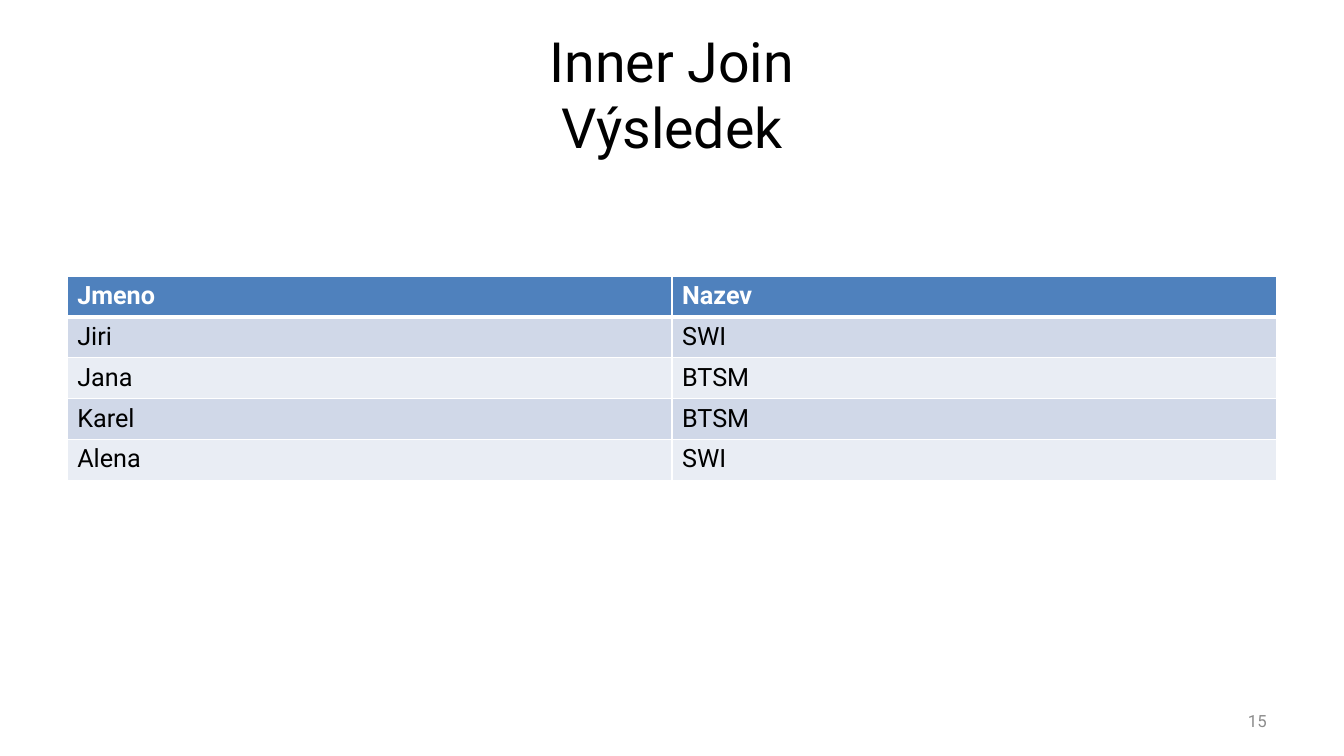
from lxml import etree
from pptx import Presentation
from pptx import util as u
from pptx.dml import color
from pptx.enum import text
from pptx.oxml import ns


def rgb(value):
    return color.RGBColor.from_string(value)


class SlideBuilder:
    font = "Roboto"
    black, white, grey = "000000", "FFFFFF", "8C8C8C"
    header, bands = "4F81BD", ("D0D8E8", "E9EDF4")
    columns, rows = 20, 25

    def __init__(self, presentation):
        self.slide = presentation.slides.add_slide(presentation.slide_layouts[6])
        self.column = presentation.slide_width / self.columns
        self.row = presentation.slide_height / self.rows

    def area(self, left, top, width, height):
        return (u.Emu(round(left * self.column)), u.Emu(round(top * self.row)),
                u.Emu(round(width * self.column)), u.Emu(round(height * self.row)))

    def add_run(self, paragraph, words, size, ink, bold=False):
        run = paragraph.add_run()
        run.text = words
        run.font.name = self.font
        run.font.size = u.Pt(size)
        run.font.bold = bold
        run.font.color.rgb = rgb(ink)

    def add_text(self, area, lines, size, ink, alignment):
        frame = self.slide.shapes.add_textbox(*self.area(*area)).text_frame
        frame.word_wrap = True
        frame.vertical_anchor = text.MSO_ANCHOR.MIDDLE
        paragraph = frame.paragraphs[0]
        paragraph.alignment = alignment
        for index, line in enumerate(lines):
            if index:
                paragraph.add_line_break()
            self.add_run(paragraph, line, size, ink)

    def add_borders(self, cell, top, bottom):
        properties = cell._tc.get_or_add_tcPr()
        widths = {"lnL": 1, "lnR": 1, "lnT": top, "lnB": bottom}
        for index, (side, width) in enumerate(widths.items()):
            line = etree.Element(ns.qn(f"a:{side}"), w=str(u.Pt(width)))
            fill = etree.SubElement(line, ns.qn("a:solidFill"))
            etree.SubElement(fill, ns.qn("a:srgbClr"), val=self.white)
            properties.insert(index, line)

    def add_table(self, area, records):
        shape = self.slide.shapes.add_table(len(records), len(records[0]), *self.area(*area))
        for row, record in enumerate(records):
            heading = row == 0
            for column, words in enumerate(record):
                cell = shape.table.cell(row, column)
                cell.fill.solid()
                cell.fill.fore_color.rgb = rgb(self.header if heading else self.bands[(row - 1) % 2])
                self.add_borders(cell, 3 if row == 1 else 1, 3 if heading else 1)
                self.add_run(cell.text_frame.paragraphs[0], words, 18,
                             self.white if heading else self.black, heading)


def main():
    presentation = Presentation()
    presentation.slide_width = u.Inches(13.33)
    presentation.slide_height = u.Inches(7.5)
    builder = SlideBuilder(presentation)
    builder.add_text((1, 1, 18, 4.17), ["Inner Join", "Výsledek"], 39.6,
                     builder.black, text.PP_ALIGN.CENTER)
    builder.add_table((1, 9.13, 18, 6.76), [
        ("Jmeno", "Nazev"),
        ("Jiri", "SWI"),
        ("Jana", "BTSM"),
        ("Karel", "BTSM"),
        ("Alena", "SWI"),
    ])
    builder.add_text((14.33, 23.17, 4.67, 1.33), ["15"], 12,
                     builder.grey, text.PP_ALIGN.RIGHT)
    presentation.save("out.pptx")


if __name__ == "__main__":
    main()
